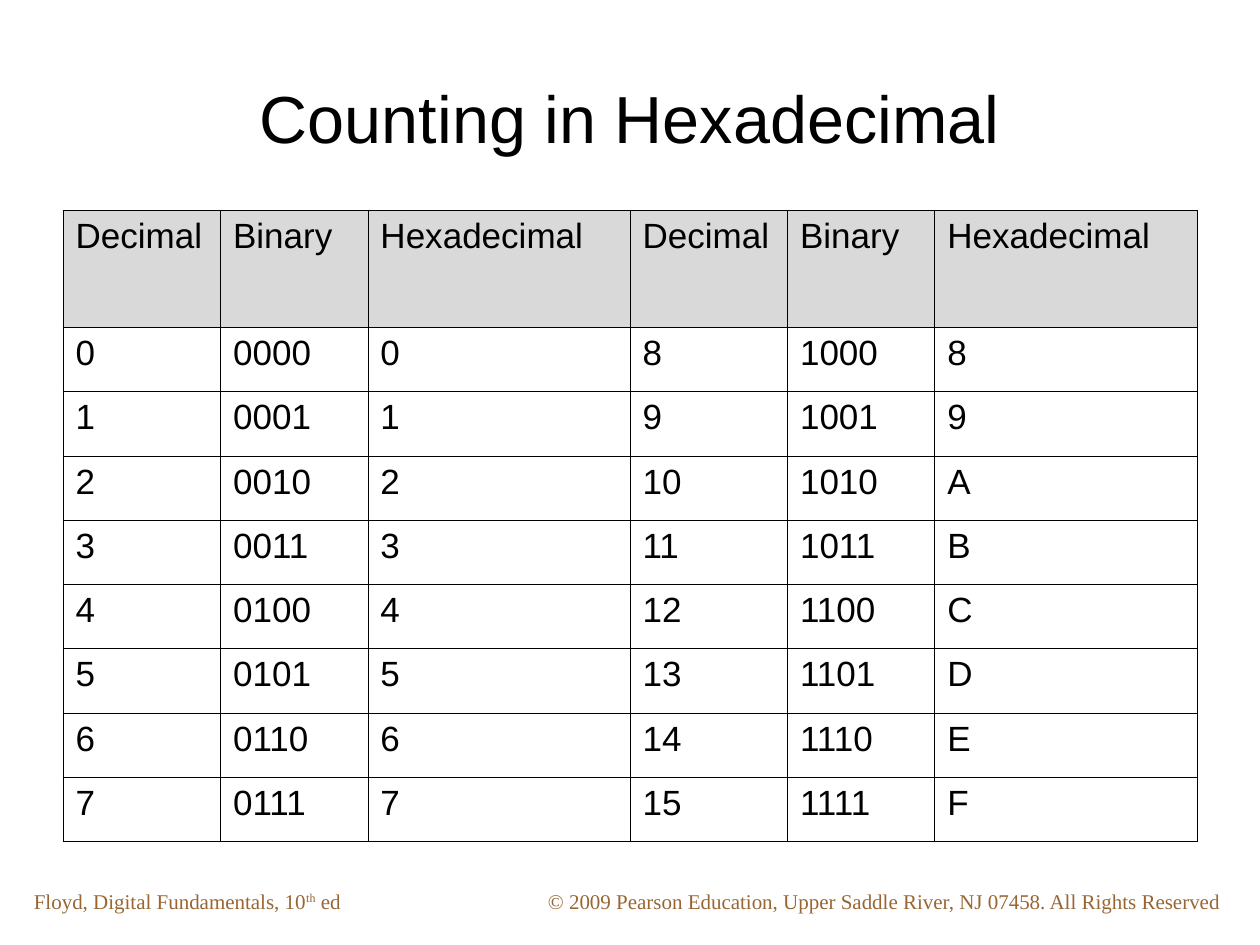
from lxml import etree
from pptx import Presentation
from pptx.dml.color import RGBColor
from pptx.enum.text import MSO_ANCHOR, MSO_AUTO_SIZE, PP_ALIGN
from pptx.oxml.ns import qn
from pptx.util import Inches, Pt

CENTER, JUSTIFY = PP_ALIGN.CENTER, PP_ALIGN.JUSTIFY
MIDDLE = MSO_ANCHOR.MIDDLE
NO_AUTOFIT = MSO_AUTO_SIZE.NONE

BLACK = RGBColor(0x00, 0x00, 0x00)
HEADER_GRAY = RGBColor(0xD9, 0xD9, 0xD9)
FOOTER_BROWN = RGBColor(0x99, 0x66, 0x33)
BORDER_WIDTH = Pt(0.45)

TITLE = "Counting in Hexadecimal"
HEADINGS = ["Decimal", "Binary", "Hexadecimal"]
COLUMN_WIDTHS = [1.25, 1.17, 2.08]
HEADER_HEIGHT, ROW_HEIGHT = 0.93, 0.51
COUNTS_PER_HALF = 8

# (left, width, runs), each run being (text, superscript)
FOOTERS = [
    (4.25, 5.58, [("© 2009 Pearson Education, Upper Saddle River, NJ 07458. "
                   "All Rights Reserved", False)]),
    (0.17, 3.08, [("Floyd, Digital Fundamentals, 10", False),
                  ("th", True), (" ed", False)]),
]


def numerals(n):
    """The number in decimal, four-bit binary and hexadecimal."""
    return [str(n), f"{n:04b}", f"{n:X}"]


def add_run(paragraph, text, size, font_name, color):
    run = paragraph.add_run()
    run.text = text
    run.font.size = Pt(size)
    run.font.name = font_name
    run.font.bold = False
    run.font.color.rgb = color
    return run


def add_borders(cell):
    properties = cell._tc.get_or_add_tcPr()
    for side in ("a:lnL", "a:lnR", "a:lnT", "a:lnB"):
        line = etree.SubElement(properties, qn(side), w=str(BORDER_WIDTH))
        fill = etree.SubElement(line, qn("a:solidFill"))
        etree.SubElement(fill, qn("a:srgbClr"), val=str(BLACK))


def add_footer(slide, left, width, runs):
    footer = slide.shapes.add_textbox(Inches(left), Inches(7), Inches(width), Inches(0.3))
    footer.text_frame.word_wrap = True
    for text, superscript in runs:
        run = add_run(footer.text_frame.paragraphs[0], text, 12,
                      "Times New Roman", FOOTER_BROWN)
        if superscript:
            run.font._element.set("baseline", "30000")


def add_title(slide):
    title = slide.shapes.title
    title.left, title.top = Inches(0.5), Inches(0.3)
    title.width, title.height = Inches(9), Inches(1.25)
    frame = title.text_frame
    frame.auto_size = NO_AUTOFIT
    frame.vertical_anchor = MIDDLE
    frame.paragraphs[0].alignment = CENTER
    add_run(frame.paragraphs[0], TITLE, 38, "Arial", BLACK)


def add_counting_table(slide):
    rows = [HEADINGS * 2] + [numerals(n) + numerals(n + COUNTS_PER_HALF)
                             for n in range(COUNTS_PER_HALF)]
    widths = COLUMN_WIDTHS * 2
    heights = [HEADER_HEIGHT] + [ROW_HEIGHT] * COUNTS_PER_HALF
    table = slide.shapes.add_table(
        len(rows), len(widths), Inches(0.5), Inches(1.67),
        Inches(sum(widths)), Inches(sum(heights))).table
    table.first_row = table.horz_banding = False
    for column, width in zip(table.columns, widths):
        column.width = Inches(width)
    for r, (values, height) in enumerate(zip(rows, heights)):
        table.rows[r].height = Inches(height)
        for c, value in enumerate(values):
            cell = table.cell(r, c)
            add_borders(cell)
            if r == 0:
                cell.fill.solid()
                cell.fill.fore_color.rgb = HEADER_GRAY
            else:
                cell.fill.background()
            paragraph = cell.text_frame.paragraphs[0]
            paragraph.alignment = JUSTIFY
            add_run(paragraph, value, 20, "Arial", BLACK)


def main():
    presentation = Presentation()
    presentation.slide_width, presentation.slide_height = Inches(10), Inches(7.5)
    title_only = presentation.slide_layouts[5]
    slide = presentation.slides.add_slide(title_only)
    for left, width, runs in FOOTERS:
        add_footer(slide, left, width, runs)
    add_title(slide)
    add_counting_table(slide)
    presentation.save("out.pptx")


if __name__ == "__main__":
    main()
